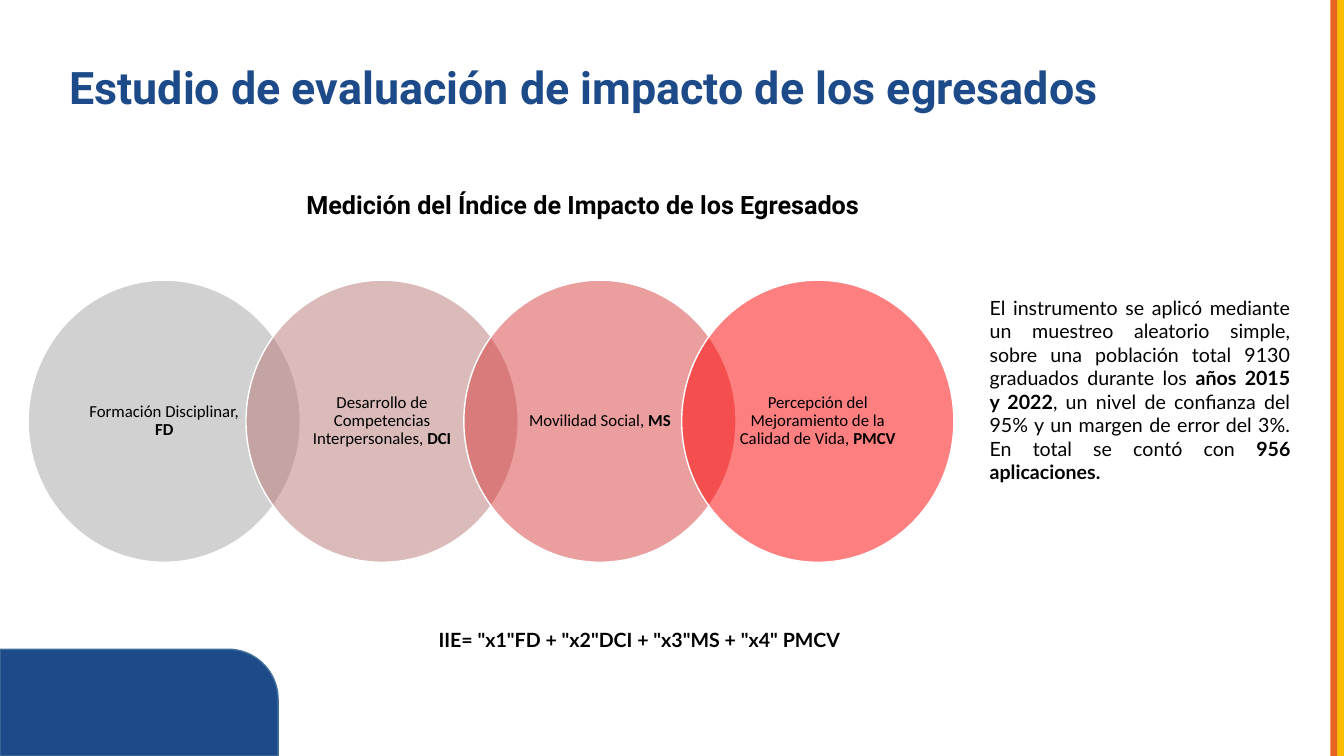
from lxml import etree
from pptx import Presentation
from pptx.dml.color import RGBColor
from pptx.enum.shapes import MSO_SHAPE as SHAPE
from pptx.enum.text import MSO_ANCHOR as ANCHOR, PP_ALIGN as ALIGN
from pptx.oxml.ns import qn
from pptx.util import Cm, Pt

NAVY = RGBColor(0x1D, 0x4B, 0x89)
STEEL = RGBColor(0x42, 0x71, 0x9B)
YELLOW = RGBColor(0xF8, 0xBD, 0x01)
ORANGE = RGBColor(0xE6, 0x65, 0x21)
BLACK = RGBColor(0, 0, 0)
WHITE = RGBColor(0xFF, 0xFF, 0xFF)
GREY = RGBColor(0xA5, 0xA5, 0xA5)
ROSE = RGBColor(0xB9, 0x76, 0x76)
CRIMSON = RGBColor(0xD8, 0x3E, 0x3E)
RED = RGBColor(0xFE, 0, 0)

WIDTH, HEIGHT = 33.87, 19.05
STRIPE = 0.17
CIRCLE_LEFT, CIRCLE_TOP, CIRCLE_STEP = 0.71, 7.06, 5.49
CIRCLE_W, CIRCLE_H = 6.86, 7.11

COMPONENTS = [
    (GREY, "Formación Disciplinar, ", "FD"),
    (ROSE, "Desarrollo de Competencias Interpersonales, ", "DCI"),
    (CRIMSON, "Movilidad Social, ", "MS"),
    (RED, "Percepción del Mejoramiento de la Calidad de Vida, ", "PMCV"),
]


class Deck:
    """Holds the fonts and the current slide; all lengths are centimetres."""

    heading_font, body_font, circle_font = "Roboto", "Lato", "Calibri"

    def __init__(self):
        self.prs = Presentation()
        self.prs.slide_width, self.prs.slide_height = Cm(WIDTH), Cm(HEIGHT)
        self.slide = self.prs.slides.add_slide(self.prs.slide_layouts[6])

    def shape(self, kind, x, y, w, h, fill, line=None):
        sp = self.slide.shapes.add_shape(kind, Cm(x), Cm(y), Cm(w), Cm(h))
        sp.shadow.inherit = False
        sp.fill.solid()
        sp.fill.fore_color.rgb = fill
        if line is None:
            sp.line.fill.background()
        else:
            sp.line.color.rgb = line
            sp.line.width = Pt(1)
        return sp

    def add_runs(self, tf, runs, font, size, color=BLACK, align=ALIGN.LEFT, spacing=None):
        """Fill a text frame with one paragraph of (text, bold) runs."""
        tf.word_wrap = True
        p = tf.paragraphs[0]
        p.alignment = align
        if spacing:
            p.line_spacing = spacing
        p.font.name, p.font.size = font, Pt(size)
        p.font.color.rgb = color
        for text, bold in runs:
            r = p.add_run()
            r.text = text
            r.font.bold = bold

    def text(self, x, y, w, h, runs, font, size, anchor=ANCHOR.TOP, **style):
        tf = self.slide.shapes.add_textbox(Cm(x), Cm(y), Cm(w), Cm(h)).text_frame
        tf.vertical_anchor = anchor
        self.add_runs(tf, runs, font, size, **style)

    def circle(self, x, color, label, code):
        """Add a half-transparent circle with its label and bold code."""
        sp = self.shape(SHAPE.OVAL, x, CIRCLE_TOP, CIRCLE_W, CIRCLE_H, color, WHITE)
        srgb = sp._element.spPr.find(qn("a:solidFill")).find(qn("a:srgbClr"))
        etree.SubElement(srgb, qn("a:alpha"), val="50000")
        tf = sp.text_frame
        tf.vertical_anchor = ANCHOR.MIDDLE
        tf.margin_left = tf.margin_right = Cm(0.28)
        tf.margin_top = tf.margin_bottom = Cm(0.05)
        self.add_runs(tf, [(label, False), (code, True)], self.circle_font, 12,
                      align=ALIGN.CENTER, spacing=0.89)


def main():
    deck = Deck()

    corner = deck.shape(SHAPE.ROUND_1_RECTANGLE, 0, 16.36, 7.01, 2.69, NAVY, STEEL)
    corner.adjustments[0] = 0.47
    for place, color in enumerate((YELLOW, ORANGE), start=1):
        deck.shape(SHAPE.RECTANGLE, WIDTH - place * STRIPE, 0, STRIPE, HEIGHT, color)

    deck.text(1.5, 0.56, 31.09, 3.43,
              [("Estudio de evaluación de impacto de los egresados", True)],
              deck.heading_font, 32, anchor=ANCHOR.MIDDLE, color=NAVY, spacing=0.9)

    for i, component in enumerate(COMPONENTS):
        deck.circle(CIRCLE_LEFT + i * CIRCLE_STEP, *component)

    deck.text(7.47, 4.65, 20.83, 1.02,
              [("Medición del Índice de Impacto de los Egresados", True)],
              deck.heading_font, 18)
    deck.text(7.7, 15.7, 16.94, 0.86,
              [('IIE= "x1"FD + "x2"DCI + "x3"MS + "x4" PMCV ', True)],
              deck.body_font, 14, align=ALIGN.CENTER)
    deck.text(24.69, 7.32, 8.08, 5.64, [
        ("El instrumento se aplicó mediante un muestreo aleatorio simple, sobre una "
         "población total 9130 graduados durante los ", False),
        ("años 2015 y 2022", True),
        (", un nivel de confianza del 95% y un margen de error del 3%. "
         "En total se contó con ", False),
        ("956 aplicaciones.", True),
    ], deck.body_font, 14, align=ALIGN.JUSTIFY)

    deck.prs.save("out.pptx")


if __name__ == "__main__":
    main()
